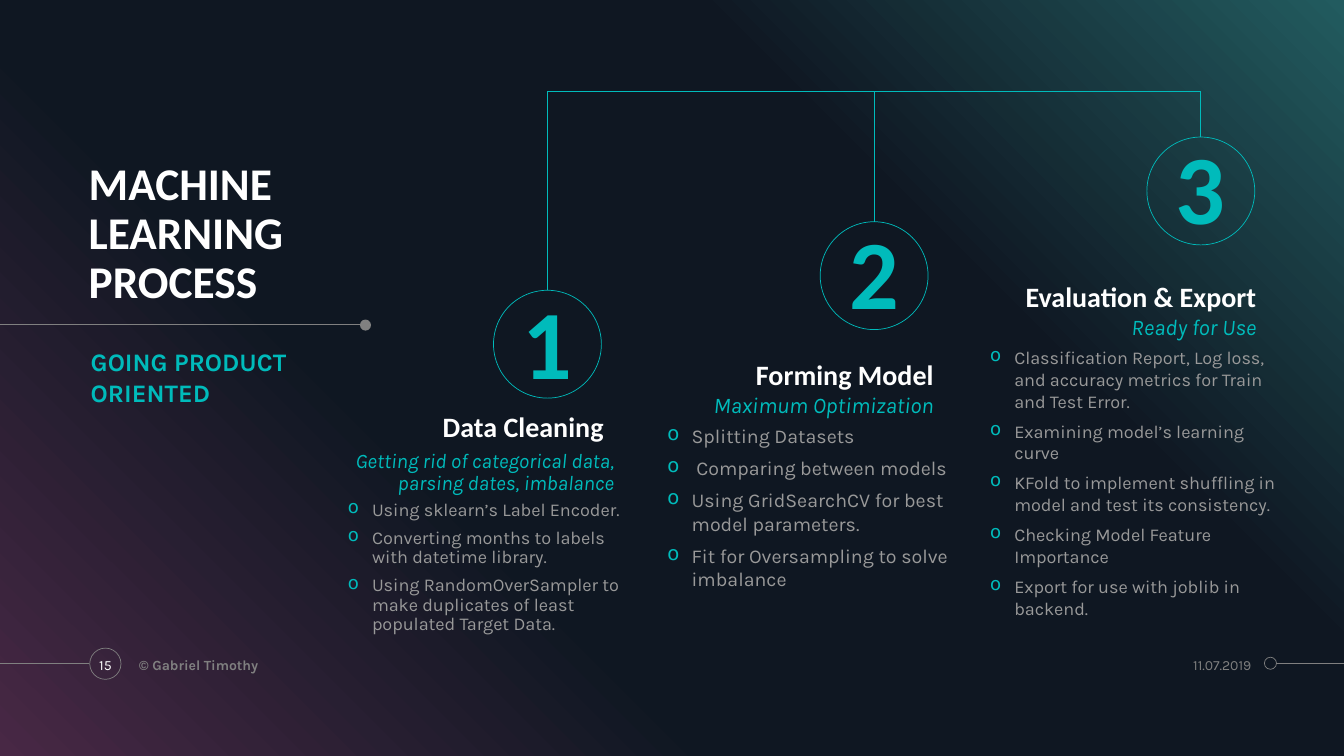
from dataclasses import dataclass

from lxml.etree import SubElement
from pptx import Presentation
from pptx.dml.color import RGBColor
from pptx.enum.shapes import MSO_CONNECTOR, MSO_SHAPE
from pptx.enum.text import MSO_ANCHOR, PP_ALIGN
from pptx.oxml.ns import qn
from pptx.util import Inches, Pt

TEAL = RGBColor(0x00, 0xBB, 0xBB)
WHITE = RGBColor(0xFF, 0xFF, 0xFF)
GRAY = RGBColor(0x80, 0x80, 0x80)
LIGHT_GRAY = RGBColor(0x99, 0x99, 0x99)
PLUM = RGBColor(0x48, 0x28, 0x45)
NAVY = RGBColor(0x0F, 0x17, 0x22)
PINE = RGBColor(0x22, 0x5B, 0x5F)

HEADING_FONT = "Calibri"
BODY_FONT = "Karla"
WIDTH, HEIGHT = 13.33, 7.5
BRANCH_TOP = 0.91
FIRST_CENTER, STEP_PITCH = 5.43, 3.24
CIRCLE_SIZE = 1.07
BULLET_INDENT = 0.24


@dataclass
class Step:
    circle_top: float
    number_inset: float
    heading: str
    heading_at: tuple[float, float]
    tagline: str
    tagline_at: tuple[float, float]
    tagline_height: float
    tagline_size: float
    bullets: list[str]
    bullets_height: float
    bullet_size: float
    bullet_spacing: float


STEPS = [
    Step(2.88, 0.08, "Data Cleaning ", (3.41, 4.01),
         "Getting rid of categorical data, parsing dates, imbalance",
         (3.45, 4.41), 0.5, 14.8,
         ["Using sklearn’s Label Encoder.",
          "Converting months to labels with datetime library.",
          "Using RandomOverSampler to make duplicates of least populated Target Data."],
         1.4, 12.9, 0.9),
    Step(2.2, 0.04, "Forming Model", (6.62, 3.49),
         "Maximum Optimization", (6.62, 3.89), 0.26, 16,
         ["Splitting Datasets",
          " Comparing between models",
          "Using GridSearchCV for best model parameters.",
          "Fit for Oversampling to solve imbalance"],
         1.95, 14, 1.0),
    Step(1.36, 0.04, "Evaluation & Export", (9.82, 2.72),
         "Ready for Use", (9.82, 3.12), 0.26, 16,
         ["Classification Report, Log loss, and accuracy metrics for Train and Test Error.",
          "Examining model’s learning curve",
          "KFold to implement shuffling in model and test its consistency.",
          "Checking Model Feature Importance",
          "Export for use with joblib in backend."],
         2.53, 12.9, 1.0),
]


def add_bullet(paragraph) -> None:
    properties = paragraph._p.get_or_add_pPr()
    properties.set("marL", str(Inches(BULLET_INDENT)))
    properties.set("indent", str(-Inches(BULLET_INDENT)))
    color = SubElement(properties, qn("a:buClr"))
    SubElement(color, qn("a:srgbClr"), val=str(TEAL))
    SubElement(properties, qn("a:buChar"), char="o")


def write_text(shape, lines: list[str], *, size: float, color: RGBColor,
               font: str = BODY_FONT, bold: bool = False, italic: bool = False,
               align=PP_ALIGN.LEFT, anchor=MSO_ANCHOR.TOP, spacing: float = 1.0,
               before: float = 0, insets=(0, 0, 0, 0), bullets: bool = False) -> None:
    frame = shape.text_frame
    frame.word_wrap = True
    frame.vertical_anchor = anchor
    (frame.margin_left, frame.margin_top,
     frame.margin_right, frame.margin_bottom) = map(Inches, insets)
    for index, line in enumerate(lines):
        paragraph = frame.add_paragraph() if index else frame.paragraphs[0]
        paragraph.alignment = align
        paragraph.line_spacing = spacing
        paragraph.space_before = Pt(before)
        if bullets:
            add_bullet(paragraph)
        run = paragraph.add_run()
        run.text = line
        run.font.name = font
        run.font.size = Pt(size)
        run.font.bold = bold
        run.font.italic = italic
        run.font.color.rgb = color


def add_text(slide, left: float, top: float, width: float, height: float,
             lines: list[str], **text_format) -> None:
    box = slide.shapes.add_textbox(*map(Inches, (left, top, width, height)))
    write_text(box, lines, **text_format)


def add_line(slide, start: tuple[float, float], end: tuple[float, float],
             color: RGBColor) -> None:
    line = slide.shapes.add_connector(
        MSO_CONNECTOR.STRAIGHT, *map(Inches, (*start, *end)))
    line.line.color.rgb = color
    line.line.width = Pt(0.5)
    SubElement(line._element.spPr, qn("a:effectLst"))


def add_circle(slide, left: float, top: float, size: float, color: RGBColor,
               filled: bool = False):
    circle = slide.shapes.add_shape(
        MSO_SHAPE.OVAL, *map(Inches, (left, top, size, size)))
    circle.shadow.inherit = False
    if filled:
        circle.fill.solid()
        circle.fill.fore_color.rgb = color
        circle.line.fill.background()
    else:
        circle.fill.background()
        circle.line.color.rgb = color
        circle.line.width = Pt(0.5)
    return circle


def add_backdrop(slide) -> None:
    backdrop = slide.shapes.add_shape(
        MSO_SHAPE.RECTANGLE, 0, 0, Inches(WIDTH), Inches(HEIGHT))
    backdrop.shadow.inherit = False
    backdrop.line.fill.background()
    backdrop.fill.gradient()
    backdrop.fill.gradient_angle = 45
    stops = backdrop._element.spPr.find(".//" + qn("a:gsLst"))
    for stop in list(stops):
        stops.remove(stop)
    for percent, color in ((0, PLUM), (34, NAVY), (69, NAVY), (100, PINE)):
        stop = SubElement(stops, qn("a:gs"), pos=str(percent * 1000))
        SubElement(stop, qn("a:srgbClr"), val=str(color))


def add_step(slide, number: int, step: Step) -> None:
    center = FIRST_CENTER + STEP_PITCH * (number - 1)
    add_line(slide, (center, BRANCH_TOP), (center, step.circle_top), TEAL)
    circle = add_circle(slide, center - CIRCLE_SIZE / 2, step.circle_top, CIRCLE_SIZE, TEAL)
    write_text(circle, [str(number)], size=70, color=TEAL, font=HEADING_FONT, bold=True,
               align=PP_ALIGN.CENTER, anchor=MSO_ANCHOR.MIDDLE, spacing=0.9, before=10,
               insets=(0, step.number_inset, 0, 0))
    right_block = dict(align=PP_ALIGN.RIGHT, anchor=MSO_ANCHOR.BOTTOM, spacing=0.9, before=6)
    add_text(slide, *step.heading_at, 2.64, 0.39, [step.heading], size=20, color=WHITE,
             font=HEADING_FONT, bold=True, **right_block)
    left, top = step.tagline_at
    add_text(slide, left, top, 2.64, step.tagline_height, [step.tagline],
             size=step.tagline_size, color=TEAL, italic=True, **right_block)
    add_text(slide, left, top + step.tagline_height + 0.06, 2.83, step.bullets_height,
             step.bullets, size=step.bullet_size, color=LIGHT_GRAY,
             spacing=step.bullet_spacing, before=6, bullets=True)


def main() -> None:
    presentation = Presentation()
    presentation.slide_width = Inches(WIDTH)
    presentation.slide_height = Inches(HEIGHT)
    slide = presentation.slides.add_slide(presentation.slide_layouts[6])
    add_backdrop(slide)

    # Title block
    add_line(slide, (0, 3.22), (3.58, 3.22), GRAY)
    add_circle(slide, 3.57, 3.17, 0.11, GRAY, filled=True)
    add_text(slide, 0.88, 1.65, 3.09, 1.41, ["MACHINE LEARNING PROCESS"], size=32.4,
             color=WHITE, font=HEADING_FONT, bold=True, anchor=MSO_ANCHOR.BOTTOM, spacing=0.9)
    add_text(slide, 0.9, 3.44, 2.42, 2.29, ["GOING PRODUCT ORIENTED"], size=18,
             color=TEAL, bold=True, before=10)

    # Branch and steps
    last_center = FIRST_CENTER + STEP_PITCH * (len(STEPS) - 1)
    add_line(slide, (FIRST_CENTER, BRANCH_TOP), (last_center, BRANCH_TOP), TEAL)
    for number, step in enumerate(STEPS, start=1):
        add_step(slide, number, step)

    # Footer
    add_line(slide, (0, 6.58), (0.88, 6.58), GRAY)
    add_circle(slide, 0.89, 6.43, 0.31, GRAY)
    add_circle(slide, 12.54, 6.52, 0.12, GRAY)
    add_line(slide, (12.66, 6.58), (WIDTH, 6.58), GRAY)
    footer = dict(size=10, anchor=MSO_ANCHOR.MIDDLE)
    padded = (0.1, 0.05, 0.1, 0.05)
    add_text(slide, 0.85, 6.43, 0.39, 0.33, ["15"], color=WHITE,
             align=PP_ALIGN.CENTER, insets=padded, **footer)
    add_text(slide, 1.28, 6.43, 3.19, 0.33, ["© Gabriel Timothy"], color=GRAY,
             bold=True, insets=padded, **footer)
    add_text(slide, 10.95, 6.43, 1.46, 0.33, ["11.07.2019"], color=GRAY,
             align=PP_ALIGN.RIGHT, **footer)

    presentation.save("out.pptx")


if __name__ == "__main__":
    main()
